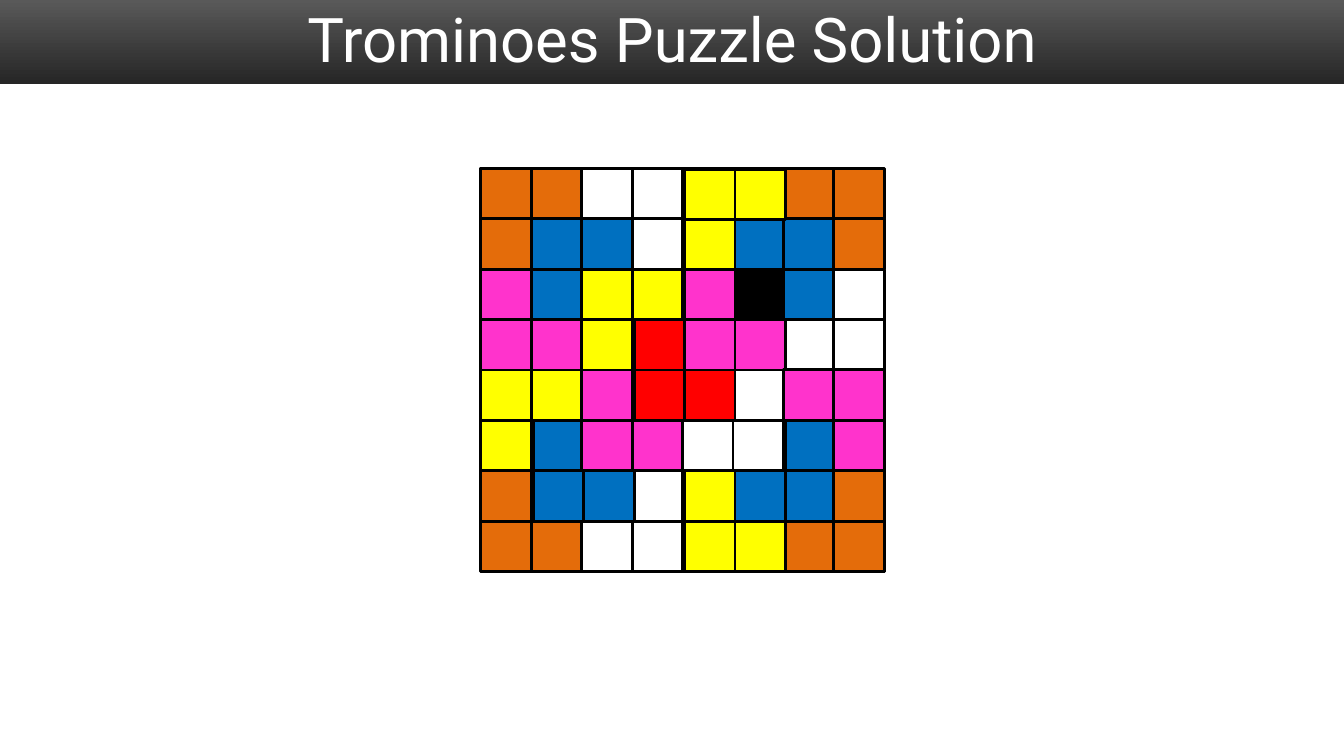
import pptx
import pptx.dml.color
import pptx.enum.shapes
import pptx.enum.text
import pptx.util

Inches = pptx.util.Inches

TITLE = "Trominoes Puzzle Solution"
FONT = "Roboto"
COLORS = {
    "white": "FFFFFF", "black": "000000", "bar top": "595959", "bar bottom": "262626",
    "red": "FF0000", "blue": "0070C0", "orange": "E46C0A", "yellow": "FFFF00", "pink": "FF33CC",
}

BOARD = [
    "oooooo..",
    "ooooo...",
    "ooooox.o",
    "oooooooo",
    "oooooo..",
    "ooooooo.",
    "oooooooo",
    "oooooooo",
]

ARMS = {
    0: [(-1, 0), (0, 0), (0, 1)],
    90: [(0, -1), (0, 0), (-1, 0)],
    180: [(1, 0), (0, 0), (0, -1)],
    270: [(0, 1), (0, 0), (1, 0)],
}

# color, corner column, corner row, turn, nudge right, nudge down
TROMINOES = [
    ("red", 3, 4, 180, 0.02, 0),
    ("blue", 1, 6, 180, 0.02, 0),
    ("blue", 6, 6, 90, 0.02, 0),
    ("blue", 1, 1, 270, 0, 0),
    ("blue", 6, 1, 0, 0, 0),
    ("orange", 0, 0, 270, 0, 0),
    ("orange", 7, 0, 0, 0, 0),
    ("orange", 7, 7, 90, 0, 0),
    ("orange", 0, 7, 180, 0, 0),
    ("yellow", 0, 4, 270, 0, 0),
    ("yellow", 4, 0, 270, 0.02, 0.01),
    ("yellow", 4, 7, 180, 0.02, 0),
    ("yellow", 2, 2, 270, 0, 0),
    ("pink", 0, 3, 180, 0, 0),
    ("pink", 4, 3, 180, 0.02, 0),
    ("pink", 2, 5, 180, 0, 0),
    ("pink", 7, 4, 0, 0, 0),
]

BOARD_LEFT, BOARD_TOP, CELL = 4.77, 1.67, 0.5


def rgb(name):
    return pptx.dml.color.RGBColor.from_string(COLORS[name])


def add_rectangle(shapes, left, top, width, height):
    box = shapes.add_shape(
        pptx.enum.shapes.MSO_SHAPE.RECTANGLE,
        Inches(left), Inches(top), Inches(width), Inches(height),
    )
    box.shadow.inherit = False
    return box


def add_cell(group, column, row, color=None, turn=0, right=0, down=0):
    left = BOARD_LEFT + column * CELL + right
    top = BOARD_TOP + row * CELL + down
    box = add_rectangle(group.shapes, left, top, CELL, CELL)
    box.rotation = turn
    if color:
        box.fill.solid()
        box.fill.fore_color.rgb = rgb(color)
    else:
        box.fill.background()
    box.line.color.rgb = rgb("black")
    box.line.width = pptx.util.Pt(2)


def add_title(page):
    title = page.shapes.title
    title.left, title.top = Inches(0.67), Inches(-0.25)
    title.width, title.height = Inches(12), Inches(1.25)
    frame = title.text_frame
    frame.text = TITLE
    frame.vertical_anchor = pptx.enum.text.MSO_ANCHOR.MIDDLE
    para = frame.paragraphs[0]
    para.alignment = pptx.enum.text.PP_ALIGN.CENTER
    span = para.runs[0]
    span.font.name = FONT
    span.font.size = pptx.util.Pt(44)
    span.font.color.rgb = rgb("white")

    bar = add_rectangle(page.shapes, 0, 0, 13.33, 0.83)
    bar.line.fill.background()
    bar.fill.gradient()
    bar.fill.gradient_angle = 270
    for stop, name, position in zip(bar.fill.gradient_stops, ("bar top", "bar bottom"), (0, 1)):
        stop.color.rgb = rgb(name)
        stop.position = position
    title.element.addprevious(bar.element)


def add_board(page):
    group = page.shapes.add_group_shape()
    for row, marks in enumerate(BOARD):
        for column, mark in enumerate(marks):
            if mark != ".":
                add_cell(group, column, row, "black" if mark == "x" else None)


def add_trominoes(page):
    for color, column, row, turn, right, down in TROMINOES:
        group = page.shapes.add_group_shape()
        for across, along in ARMS[turn]:
            add_cell(group, column + across, row + along, color, turn, right, down)


def main():
    deck = pptx.Presentation()
    deck.slide_width, deck.slide_height = Inches(13.33), Inches(7.5)
    page = deck.slides.add_slide(deck.slide_layouts[5])
    add_title(page)
    add_board(page)
    add_trominoes(page)
    deck.save("out.pptx")


if __name__ == "__main__":
    main()
